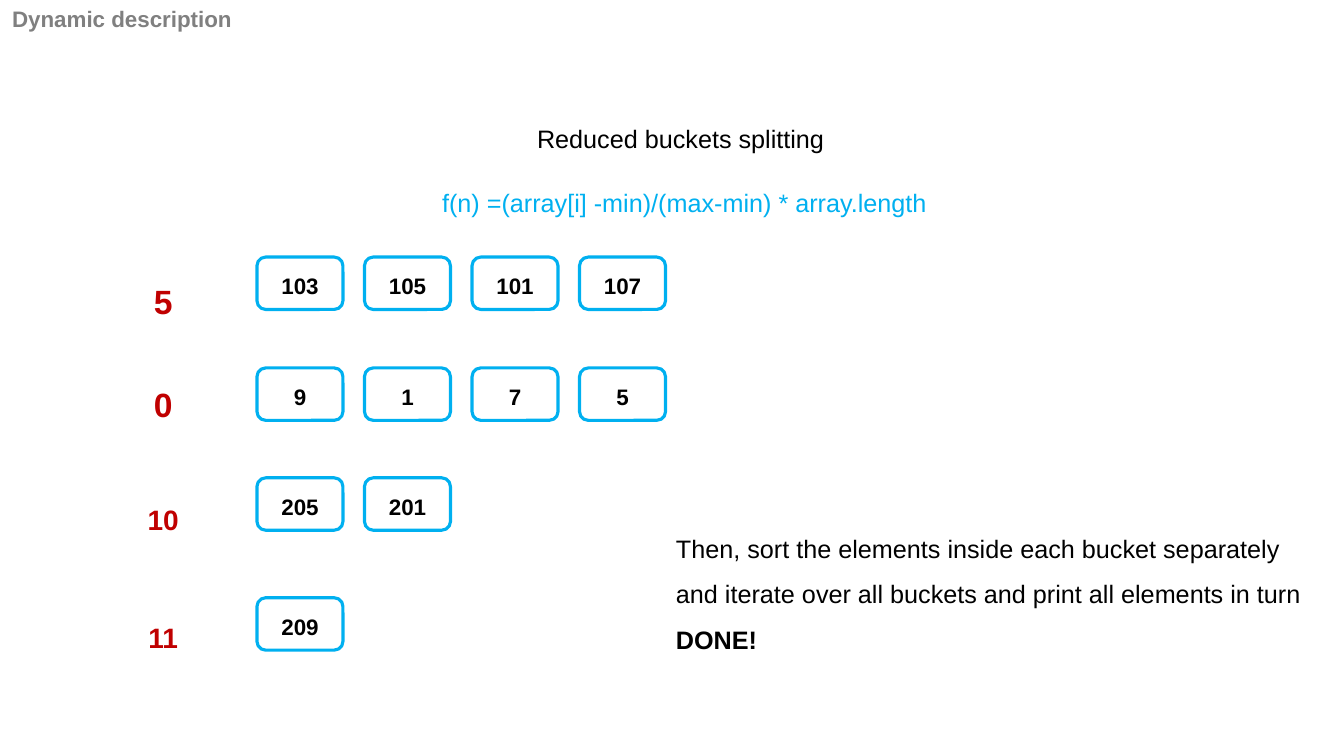
from dataclasses import dataclass
from pptx import Presentation
from pptx.dml.color import RGBColor as Rgb
from pptx.enum.shapes import MSO_SHAPE as Shape
from pptx.enum.text import MSO_ANCHOR as Anchor, PP_ALIGN as Align
from pptx.util import Inches, Pt


@dataclass(frozen=True)
class Theme:
    font: str = "Arial"
    ink: str = "000000"
    blue: str = "00B0F0"
    red: str = "C00000"
    gray: str = "808080"
    body: int = 18
    small: int = 16
    mid: int = 20
    big: int = 24
    edge: float = 2.25


THEME = Theme()
WIDE, HIGH = Inches(13.333), Inches(7.5)
COL, ROW = WIDE / 25, HIGH / 30

# Bucket key, key size, top row, drop of the key below the top, values
BUCKETS = [
    ("5", THEME.big, 10.2, 0.76, [103, 105, 101, 107]),
    ("0", THEME.big, 14.6, 0.44, [9, 1, 7, 5]),
    ("10", THEME.mid, 18.96, 0.8, [205, 201]),
    ("11", THEME.mid, 23.72, 0.72, [209]),
]


def place(box):
    """Turn columns and rows into slide lengths."""
    x, y, w, h = box
    return int(x * COL), int(y * ROW), int(w * COL), int(h * ROW)


def style(para, size, color, bold=False, align=Align.LEFT, space=None):
    para.alignment = align
    para.line_spacing = space
    for run in para.runs:
        font = run.font
        font.name, font.size, font.bold = THEME.font, Pt(size), bold
        font.color.rgb = Rgb.from_string(color)


def write(slide, box, text, size, color, **look):
    frame = slide.shapes.add_textbox(*place(box)).text_frame
    frame.word_wrap = True
    frame.text = text
    for para in frame.paragraphs:
        style(para, size, color, **look)
    return frame


def card(slide, box, value):
    shape = slide.shapes.add_shape(Shape.ROUNDED_RECTANGLE, *place(box))
    shape.shadow.inherit = False
    shape.fill.background()
    shape.line.color.rgb = Rgb.from_string(THEME.blue)
    shape.line.width = Pt(THEME.edge)
    frame = shape.text_frame
    frame.margin_top, frame.margin_bottom = Inches(0.08), Inches(0.03)
    frame.vertical_anchor = Anchor.MIDDLE
    frame.text = str(value)
    style(frame.paragraphs[0], THEME.small, THEME.ink, True, Align.CENTER)


def bucket(slide, box, key, size, drop, values):
    x, y, w, h = box
    write(slide, (x, y + drop, 1.05, 2), key, size, THEME.red,
          bold=True, align=Align.CENTER)
    for i, value in enumerate(values):
        card(slide, (x + 2.27 + 2 * i, y, 1.6, h), value)


def header(slide, box):
    x, y, w, h = box
    write(slide, (x, y, 6.77, h), "Dynamic description",
          THEME.small, THEME.gray, bold=True)


def formula(slide, box):
    x, y, w, h = box
    write(slide, (x + 0.75, y, 7.74, 2), "Reduced buckets splitting",
          THEME.body, THEME.ink, align=Align.CENTER)
    write(slide, (x, y + 1.96, w, h - 1.96),
          "f(n) =(array[i] -min)/(max-min) * array.length",
          THEME.body, THEME.blue, space=1.5)


def note(slide, box):
    lines = ["Then, sort the elements inside each bucket separately",
             "and iterate over all buckets and print all elements in turn",
             "DONE!"]
    frame = write(slide, box, "\n".join(lines), THEME.body, THEME.ink, space=1.5)
    frame.paragraphs[-1].runs[0].font.bold = True


def main():
    deck = Presentation()
    deck.slide_width, deck.slide_height = WIDE, HIGH
    slide = deck.slides.add_slide(deck.slide_layouts[6])

    # Heading and formula
    header(slide, (0.04, 0, 25, 2.56))
    formula(slide, (8.04, 4.68, 9.5, 4.16))

    # Buckets with their keys
    for key, size, top, drop, values in BUCKETS:
        bucket(slide, (2.51, top, 10, 2.08), key, size, drop, values)

    # Closing step
    note(slide, (12.39, 20.36, 12.6, 7.08))
    deck.save("out.pptx")


if __name__ == "__main__":
    main()
